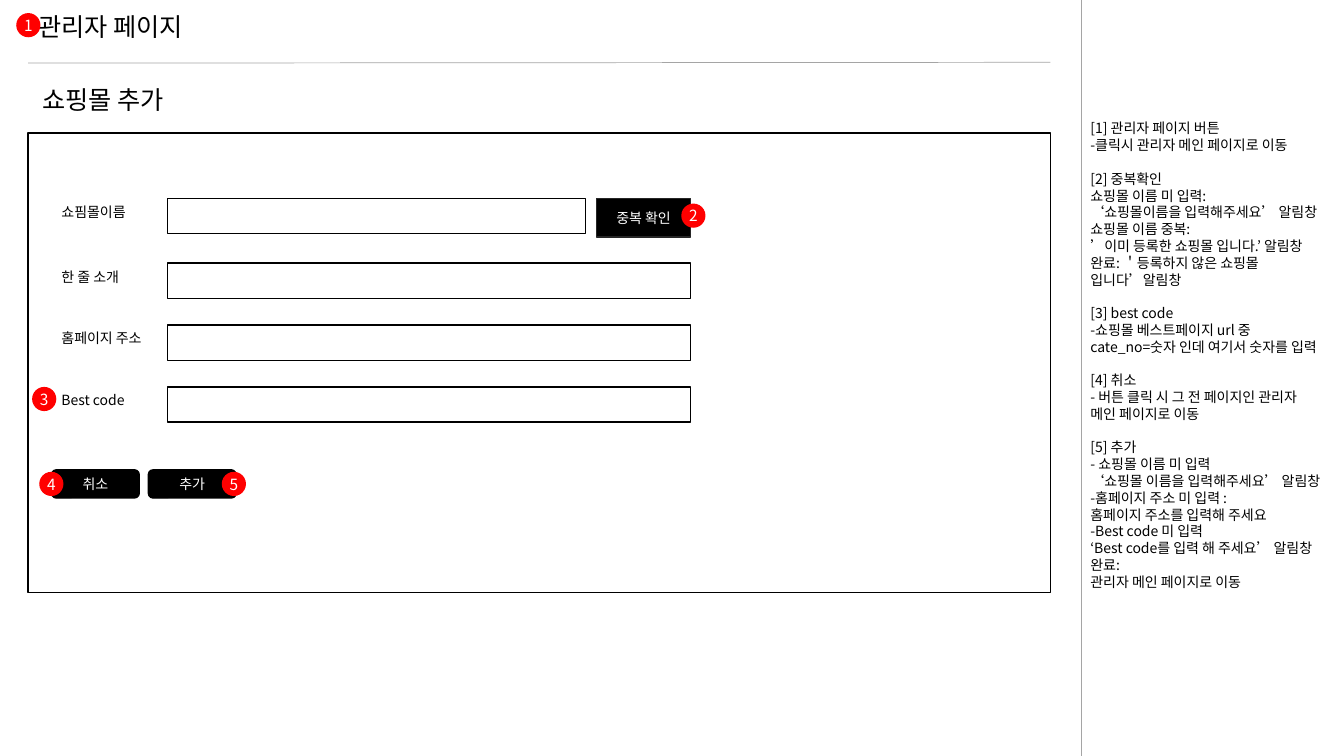
from dataclasses import dataclass

from lxml.etree import SubElement
from pptx import Presentation
from pptx.dml.color import RGBColor
from pptx.enum.shapes import MSO_CONNECTOR, MSO_SHAPE as Preset
from pptx.enum.text import MSO_ANCHOR as Anchor, PP_ALIGN as Align
from pptx.oxml.ns import qn
from pptx.util import Cm, Pt

FONT = "Noto Sans CJK KR"
BLACK, WHITE, RED, GREY, CHARCOAL = "000000", "FFFFFF", "FF0000", "A5A5A5", "262626"
BADGE_SIZE = 0.61
LABEL_LEFT, FIELD_LEFT, FIELD_WIDTH, FIELD_HEIGHT = 1.3, 4.22, 13.18, 0.89
NAME_TOP, SECOND_TOP, ROW_PITCH = 5.0, 6.63, 1.56
BUTTON_TOP, BUTTON_PITCH = 11.84, 2.44

BUTTON_FRAME = {"vertical_anchor": Anchor.MIDDLE, "word_wrap": True}
BADGE_FRAME = {
    "vertical_anchor": Anchor.MIDDLE, "word_wrap": False,
    "margin_left": 0, "margin_right": 0, "margin_top": 0, "margin_bottom": 0,
}


@dataclass(frozen=True)
class Box:
    left: float
    top: float
    width: float
    height: float

    def lengths(self) -> list:
        return [Cm(v) for v in (self.left, self.top, self.width, self.height)]


@dataclass(frozen=True)
class Field:
    label: str
    top: float
    width: float = FIELD_WIDTH


@dataclass(frozen=True)
class Button:
    caption: str
    box: Box
    preset: Preset = Preset.ROUNDED_RECTANGLE
    outline: str = BLACK


@dataclass(frozen=True)
class Badge:
    number: int
    left: float
    top: float


FIELDS = [Field("쇼핌몰이름", NAME_TOP, 10.54)] + [
    Field(label, SECOND_TOP + row * ROW_PITCH)
    for row, label in enumerate(["한 줄 소개", "홈페이지 주소", "Best code"])
]
BUTTONS = [
    Button(caption, Box(LABEL_LEFT + i * BUTTON_PITCH, BUTTON_TOP, 2.21, 0.71))
    for i, caption in enumerate(["취소", "추가"])
] + [Button("중복 확인", Box(15.04, NAME_TOP, 2.36, 0.97), Preset.RECTANGLE, CHARCOAL)]
BADGES = [
    Badge(1, 0.41, 0.33), Badge(2, 17.17, 5.13), Badge(3, 0.81, 9.75),
    Badge(4, 0.99, 11.89), Badge(5, 5.59, 11.89),
]
# Each group opens with its heading; \v breaks a line inside a paragraph
NOTES = [
    ["[1] 관리자 페이지 버튼", "-클릭시 관리자 메인 페이지로 이동"],
    ["[2] 중복확인", "쇼핑몰 이름 미 입력:", "‘쇼핑몰이름을 입력해주세요’ 알림창",
     "쇼핑몰 이름 중복:", "’이미 등록한 쇼핑몰 입니다.’ 알림창",
     "완료: ＇등록하지 않은 쇼핑몰\v입니다’알림창"],
    ["[3] best code", "-쇼핑몰 베스트페이지 url 중\vcate_no=숫자 인데 여기서 숫자를 입력"],
    ["[4] 취소", "- 버튼 클릭 시 그 전 페이지인 관리자\v메인 페이지로 이동"],
    ["[5] 추가", "- 쇼핑몰 이름 미 입력", "‘쇼핑몰 이름을 입력해주세요’ 알림창",
     "-홈페이지 주소 미 입력 :", "홈페이지 주소를 입력해 주세요",
     "-Best code 미 입력", "‘Best code를 입력 해 주세요’ 알림창",
     "완료:", "관리자 메인 페이지로 이동"],
]

deck = Presentation()
deck.slide_width, deck.slide_height = Cm(33.87), Cm(19.05)
slide = deck.slides.add_slide(deck.slide_layouts[6])


def rgb(value: str) -> RGBColor:
    return RGBColor.from_string(value)


def apply(target, values: dict) -> None:
    for name, value in values.items():
        setattr(target, name, value)


def write(paragraph, text: str, size: float, color: str, layout: dict) -> None:
    paragraph.text = text
    apply(paragraph, layout)
    for run in paragraph.runs:
        apply(run.font, {"name": FONT, "size": Pt(size)})
        run.font.color.rgb = rgb(color)
        SubElement(run.font._element, qn("a:ea"), typeface=FONT)


def add_line(x1: float, y1: float, x2: float, y2: float) -> None:
    line = slide.shapes.add_connector(
        MSO_CONNECTOR.STRAIGHT, Cm(x1), Cm(y1), Cm(x2), Cm(y2))
    line.line.width = Pt(0.5)
    line.line.color.rgb = rgb(GREY)
    SubElement(line._element.spPr, qn("a:effectLst"))


def add_text(box: Box, groups: list[list[str]], size: float) -> None:
    frame = slide.shapes.add_textbox(*box.lengths()).text_frame
    frame.word_wrap = True
    pitch = Pt(size * 1.2)
    for g, group in enumerate(groups):
        for i, text in enumerate(group):
            first = g == i == 0
            paragraph = frame.paragraphs[0] if first else frame.add_paragraph()
            gap = pitch if g and i == 0 else Pt(0)
            write(paragraph, text, size, BLACK,
                  {"line_spacing": pitch, "space_before": gap})


def add_shape(preset: Preset, box: Box, fill: str | None = None,
              outline: str | None = BLACK):
    shape = slide.shapes.add_shape(preset, *box.lengths())
    shape.shadow.inherit = False
    if fill:
        shape.fill.solid()
        shape.fill.fore_color.rgb = rgb(fill)
    else:
        shape.fill.background()
    if outline:
        shape.line.width = Pt(1)
        shape.line.color.rgb = rgb(outline)
    else:
        shape.line.fill.background()
    return shape


def add_caption(shape, text: str, size: float, frame_values: dict) -> None:
    apply(shape.text_frame, frame_values)
    write(shape.text_frame.paragraphs[0], text, size, WHITE,
          {"alignment": Align.CENTER})


# Page dividers and headings
add_line(27.25, 0, 27.25, 19.05)
add_line(0.71, 1.59, 26.47, 1.57)
add_text(Box(0.71, 0.15, 4.9, 1.02), [["관리자 페이지"]], 18)
add_text(Box(0.81, 2.01, 4.9, 1.02), [["쇼핑몰 추가"]], 18)

# Form panel with labelled fields
add_shape(Preset.RECTANGLE, Box(0.71, 3.35, 25.76, 11.58))
for field in FIELDS:
    add_text(Box(LABEL_LEFT, field.top, 4.32, 0.69), [[field.label]], 10)
    add_shape(Preset.RECTANGLE, Box(FIELD_LEFT, field.top, field.width, FIELD_HEIGHT))

# Buttons
for button in BUTTONS:
    add_caption(add_shape(button.preset, button.box, BLACK, button.outline),
                button.caption, 10, BUTTON_FRAME)

# Description column
add_text(Box(27.23, 2.9, 6.5, 12.65), NOTES, 10)

# Numbered badges
for badge in BADGES:
    spot = Box(badge.left, badge.top, BADGE_SIZE, BADGE_SIZE)
    add_caption(add_shape(Preset.OVAL, spot, RED, None),
                str(badge.number), 11, BADGE_FRAME)

deck.save("out.pptx")
